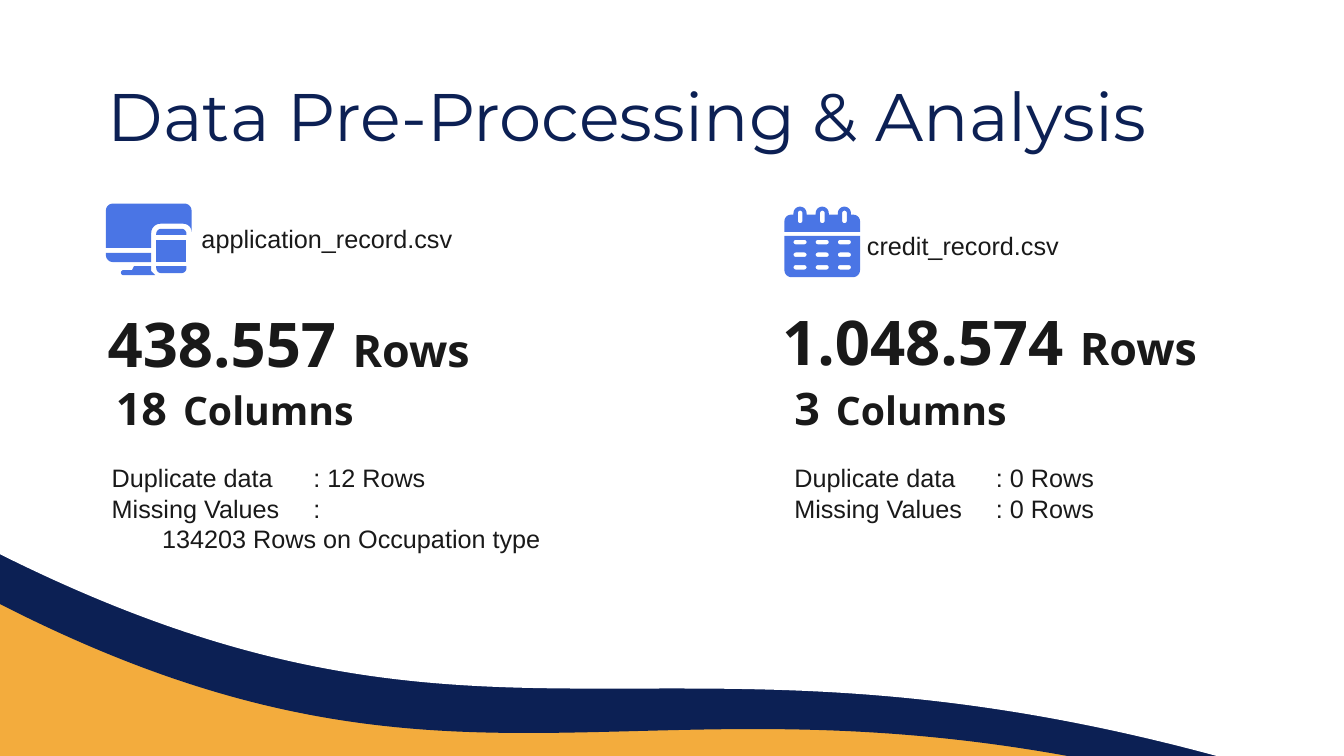
import math
from pptx import Presentation
from pptx import util as u
from pptx.dml.color import RGBColor
from pptx.enum import shapes, text

CELL = u.Inches(0.01)
COLUMNS, ROWS = 1333, 750
NAVY, ORANGE, WHITE, BLUE, INK = "0C2054", "F3AC3D", "FFFFFF", "4A75E5", "191919"
ARC_STEPS = 6


def cells(*counts):
    return [u.Emu(round(count * CELL)) for count in counts]


def paint(fill, color):
    fill.solid()
    fill.fore_color.rgb = RGBColor.from_string(color)


def finish(shape, color):
    paint(shape.fill, color)
    shape.line.fill.background()
    shape.shadow.inherit = False


def add_wave(slide, area, color):
    wave = slide.shapes.add_shape(shapes.MSO_SHAPE.FLOWCHART_DOCUMENT, *cells(*area))
    wave.rotation = 18
    finish(wave, color)


def add_text(slide, area, paragraphs, color=INK, wrap=True, grow=True, anchor=None, inset=None):
    box = slide.shapes.add_textbox(*cells(*area))
    frame = box.text_frame
    frame.word_wrap = wrap
    frame.auto_size = text.MSO_AUTO_SIZE.SHAPE_TO_FIT_TEXT if grow else text.MSO_AUTO_SIZE.NONE
    if anchor is not None:
        frame.vertical_anchor = anchor
    if inset is not None:
        margin, = cells(inset)
        frame.margin_left = frame.margin_right = margin
        frame.margin_top = frame.margin_bottom = margin
    for index, runs in enumerate(paragraphs):
        paragraph = frame.paragraphs[0] if index == 0 else frame.add_paragraph()
        for words, size, family, bold in runs:
            run = paragraph.add_run()
            run.text = words
            run.font.size = u.Pt(size)
            run.font.name = family
            run.font.bold = bold
            run.font.color.rgb = RGBColor.from_string(color)


def add_body(slide, area, lines):
    add_text(slide, area, [[(line, 18, "Arial", False)] for line in lines])


def add_count(slide, area, parts):
    add_text(slide, area, [[(words, size, "Open Sans", True) for words, size in parts]], wrap=False)


def rounded(corners):
    points = []
    for index, (x, y, radius) in enumerate(corners):
        if not radius:
            points.append((x, y))
            continue
        ends = []
        for near_x, near_y, _ in (corners[index - 1], corners[(index + 1) % len(corners)]):
            reach = radius / math.hypot(near_x - x, near_y - y)
            ends.append(((near_x - x) * reach, (near_y - y) * reach))
        (in_x, in_y), (out_x, out_y) = ends
        for step in range(ARC_STEPS + 1):
            angle = step / ARC_STEPS * math.pi / 2
            toward, away = 1 - math.sin(angle), 1 - math.cos(angle)
            points.append((x + in_x * toward + out_x * away, y + in_y * toward + out_y * away))
    return points


def bar(left, top, width, height, upper=0, lower=0):
    right, bottom = left + width, top + height
    return [(left, top, upper), (right, top, upper), (right, bottom, lower), (left, bottom, lower)]


def add_icon(slide, left, top, pieces):
    icon = slide.shapes.add_group_shape()
    for outlines in pieces:
        builder = None
        for outline in outlines:
            points = [cells(left + x, top + y) for x, y in rounded(outline)]
            if builder is None:
                builder = icon.shapes.build_freeform(*points[0], scale=1.0)
            else:
                builder.move_to(*points[0])
            builder.add_line_segments(points[1:], close=True)
        finish(builder.convert_to_shape(), BLUE)


def calendar_pieces():
    ring_lefts = [9 + 22 * column for column in range(3)]
    days = [bar(left, 33 + 12.5 * week, 13, 4.4, 2.2, 2.2) for week in range(3) for left in ring_lefts]
    slots = [bar(left + 4.3, 4, 4.6, 12.4, 2.3, 2.3) for left in ring_lefts]
    header = [(0, 25, 0), (0, 8, 6.5)]
    for left in ring_lefts:
        header += [(left, 8, 0), (left, 0, 6.5), (left + 13, 0, 6.5), (left + 13, 8, 0)]
    header += [(75, 8, 6.5), (75, 25, 0)]
    return [[bar(0, 29, 75, 41, 0, 7)] + days, [header] + slots]


def devices_pieces():
    screen = [(0, 0, 7), (85, 0, 7), (85, 28, 0), (85, 20, 8), (45, 20, 9), (45, 44, 0), (0, 44, 0)]
    stand = [(28, 62, 0), (26, 66, 0), (15, 66, 2.5), (15, 71, 2.5), (49, 71, 0), (45, 67, 0), (45, 62, 0)]
    chin = [(0, 49, 0), (45, 49, 0), (45, 58, 0), (0, 58, 7)]
    phone = [bar(50, 36, 30, 22), bar(50, 62, 30, 7, 0, 5), bar(50, 25, 30, 6, 5)]
    return [[piece] for piece in [stand, chin, *phone, screen]]


def main():
    deck = Presentation()
    deck.slide_width, deck.slide_height = cells(COLUMNS, ROWS)
    slide = deck.slides.add_slide(deck.slide_layouts[6])
    paint(slide.background.fill, ORANGE)
    add_wave(slide, (-66, -347, 1536, 1178), NAVY)
    add_wave(slide, (-75, -311, 1536, 1090), WHITE)

    add_icon(slide, 778, 205, calendar_pieces())
    add_icon(slide, 105, 202, devices_pieces())

    add_body(slide, (190, 217, 291, 40), ["application_record.csv"])
    add_count(slide, (97, 299, 382, 84), [("438.557 ", 44), ("Rows", 32)])
    add_count(slide, (105, 356, 258, 84), [("18", 32), (" ", 44), ("Columns", 28)])
    add_body(slide, (101, 454, 506, 131), [
        "Duplicate data\t: 12 Rows",
        "Missing Values \t:",
        "\t134203 Rows on Occupation type",
    ])

    add_body(slide, (850, 224, 255, 41), ["credit_record.csv"])
    add_count(slide, (766, 297, 435, 84), [("1.048.574 ", 44), ("Rows", 32)])
    add_count(slide, (778, 356, 233, 84), [("3", 32), (" ", 44), ("Columns", 28)])
    add_body(slide, (778, 454, 435, 71), ["Duplicate data\t: 0 Rows", "Missing Values \t: 0 Rows"])

    add_text(slide, (97, 72, 1170, 84), [[("Data Pre-Processing & Analysis ", 48, "Montserrat", False)]],
             color=NAVY, grow=False, anchor=text.MSO_ANCHOR.MIDDLE, inset=10)
    deck.save("out.pptx")


main()
